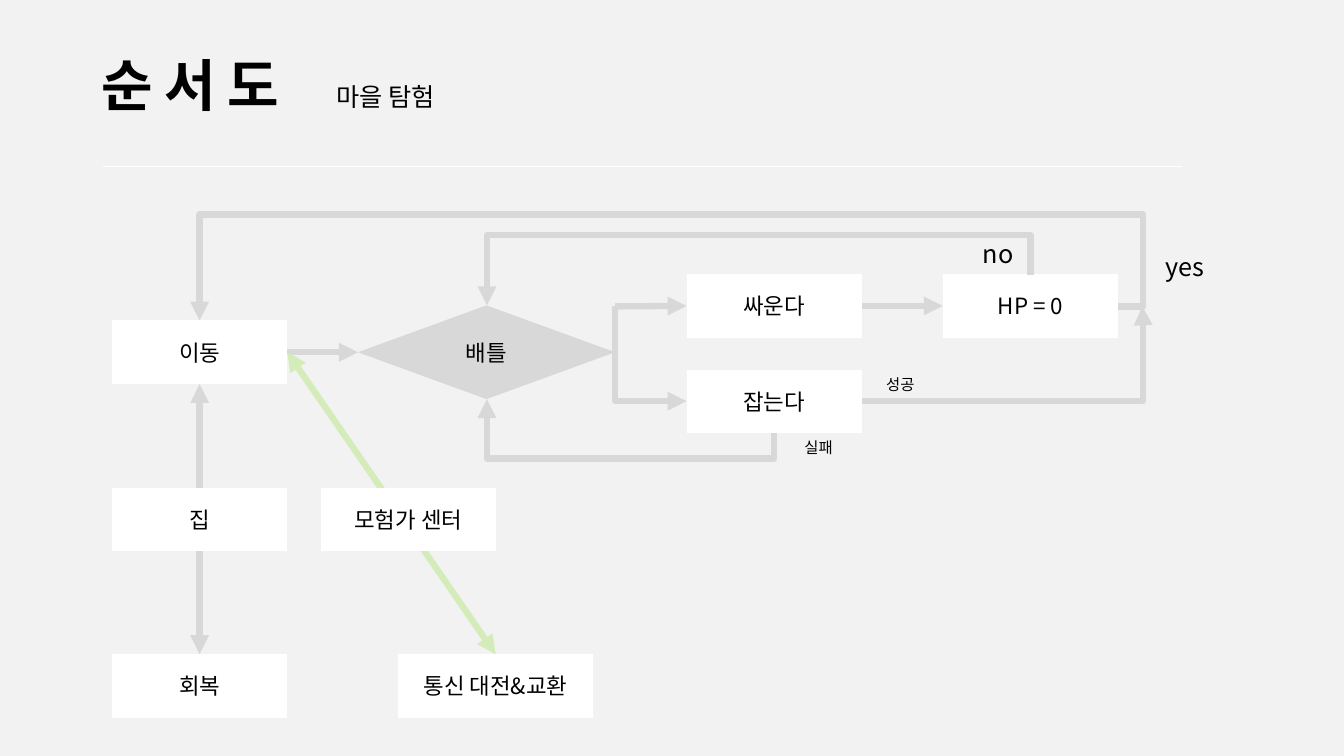
from dataclasses import dataclass
from typing import Optional

from lxml import etree
from pptx import Presentation
from pptx import util as u
from pptx.dml.color import RGBColor
from pptx.enum import shapes, text
from pptx.oxml import ns

FONT = "Noto Sans CJK KR"
BLACK, WHITE, PAPER = "000000", "FFFFFF", "F2F2F2"
GRAY, GREEN = "D8D8D8", "D3ECB9"
PROCESS = shapes.MSO_SHAPE.FLOWCHART_PROCESS
DECISION = shapes.MSO_SHAPE.FLOWCHART_DECISION
TOP, LEFT, BOTTOM, RIGHT = range(4)
Point = tuple[float, float]


@dataclass
class Box:
    label: str
    x: float
    y: float
    w: float = 1.74
    h: float = 0.63
    kind: int = PROCESS
    fill: str = WHITE


@dataclass
class Label:
    label: str
    x: float
    y: float
    w: float
    h: float
    size: float
    bold: bool = False
    spacing: int = 0


@dataclass
class Link:
    start: str
    start_side: int
    end: str
    end_side: int
    color: str = GRAY
    double: bool = False


@dataclass
class Elbow:
    start: Point
    end: Point
    preset: str
    lane_x: Optional[float] = None
    lane_y: Optional[float] = None
    vertical: bool = False  # leaves its start going up or down


# Rows and columns of the chart
COL1, COL3, COL4 = 1.11, 6.81, 9.35
MOVE_Y, FIGHT_Y, CATCH_Y, HOME_Y, HEAL_Y = 3.18, 2.72, 3.67, 4.84, 6.49
FIGHT_MID, CATCH_MID = 3.04, 3.98
MOVE_X, BATTLE_X, FORK_X, RETURN_X = 1.98, 4.83, 6.1, 11.34

BACK_BOXES = [
    Box("이동", COL1, MOVE_Y),
    Box("배틀", 3.55, 3.03, 2.55, 0.93, DECISION, GRAY),
    Box("회복", COL1, HEAL_Y),
    Box("싸운다", COL3, FIGHT_Y),
    Box("HP = 0", COL4, FIGHT_Y),
    Box("통신 대전&교환", 3.95, HEAL_Y, 1.93),
]
FRONT_BOXES = [
    Box("잡는다", COL3, CATCH_Y),
    Box("집", COL1, HOME_Y),
    Box("모험가 센터", 3.18, HOME_Y),
]
LABELS = [
    Label("순서도", 0.91, 0.45, 6.93, 0.77, 40, True, 810),
    Label("마을 탐험", 3.24, 0.76, 3.97, 0.4, 18),
    Label("성공", 8.69, 3.67, 0.81, 0.29, 11),
    Label("실패", 7.88, 4.3, 0.81, 0.29, 11),
    Label("yes", 11.46, 2.44, 0.67, 0.4, 18),
    Label("no", 9.65, 2.32, 0.67, 0.4, 18),
]
LINKS = [
    Link("이동", RIGHT, "배틀", LEFT),
    Link("싸운다", RIGHT, "HP = 0", LEFT),
    Link("이동", BOTTOM, "회복", TOP, double=True),
    Link("이동", RIGHT, "통신 대전&교환", TOP, GREEN, True),
]
ELBOWS = [
    Elbow((FORK_X, FIGHT_MID), (COL3, CATCH_MID), "bentConnector2", vertical=True),
    Elbow((11.09, FIGHT_MID), (MOVE_X, MOVE_Y), "bentConnector4", RETURN_X, 2.13),
    Elbow((8.46, CATCH_MID), (11.33, FIGHT_MID), "bentConnector3", RETURN_X),
    Elbow((7.68, 4.3), (BATTLE_X, 3.96), "bentConnector3", lane_y=4.55, vertical=True),
    Elbow((10.22, 2.73), (BATTLE_X, 3.03), "bentConnector3", lane_y=2.33, vertical=True),
]


def color(value: str) -> RGBColor:
    return RGBColor.from_string(value)


def style_run(p, size: float, bold: bool = False, spacing: int = 0) -> None:
    r = p.runs[0]
    r.font.size, r.font.bold = u.Pt(size), bold
    r.font.color.rgb = color(BLACK)
    r.font.name = FONT
    rpr = r.font._element
    etree.SubElement(rpr, ns.qn("a:ea")).set("typeface", FONT)
    if spacing:
        rpr.set("spc", str(spacing))


def add_box(s, box: Box):
    sp = s.shapes.add_shape(box.kind, *map(u.Inches, (box.x, box.y, box.w, box.h)))
    sp.shadow.inherit = False
    sp.fill.solid()
    sp.fill.fore_color.rgb = color(box.fill)
    sp.line.fill.background()
    if box.label:
        tf = sp.text_frame
        tf.text = box.label
        tf.vertical_anchor = text.MSO_ANCHOR.MIDDLE
        p = tf.paragraphs[0]
        p.alignment = text.PP_ALIGN.CENTER
        style_run(p, 16)
    return sp


def add_label(s, item: Label) -> None:
    sp = s.shapes.add_textbox(*map(u.Inches, (item.x, item.y, item.w, item.h)))
    tf = sp.text_frame
    tf.word_wrap = True
    tf.auto_size = text.MSO_AUTO_SIZE.SHAPE_TO_FIT_TEXT
    tf.text = item.label
    style_run(tf.paragraphs[0], item.size, item.bold, item.spacing)


def add_line(s, start: Point, end: Point, line: str = GRAY, width: float = 4.5,
             ends: tuple = ("tailEnd",), kind=shapes.MSO_CONNECTOR.STRAIGHT):
    c = s.shapes.add_connector(kind, *map(u.Inches, (*start, *end)))
    c.line.color.rgb = color(line)
    c.line.width = u.Pt(width)
    for tag in ends:
        etree.SubElement(c.line._ln, ns.qn(f"a:{tag}")).set("type", "triangle")
    etree.SubElement(c._element.spPr, ns.qn("a:effectLst"))
    return c


def add_elbow(s, elbow: Elbow) -> None:
    c = add_line(s, elbow.start, elbow.end, kind=shapes.MSO_CONNECTOR.ELBOW)
    (x1, y1), (x2, y2) = elbow.start, elbow.end
    # Each lane is a share of the way from start to end
    shares = [(lane - a) / (b - a)
              for lane, a, b in ((elbow.lane_x, x1, x2), (elbow.lane_y, y1, y2))
              if lane is not None]
    geom = c._element.spPr.find(ns.qn("a:prstGeom"))
    geom.set("prst", elbow.preset)
    guides = geom.find(ns.qn("a:avLst"))
    for i, share in enumerate(shares, 1):
        name = f"adj{i}" if len(shares) > 1 or elbow.preset != "bentConnector2" else "adj"
        guide = etree.SubElement(guides, ns.qn("a:gd"))
        guide.set("name", name)
        guide.set("fmla", f"val {round(share * 100000)}")
    if elbow.vertical:
        # Turn the frame a quarter about its centre
        w, h = abs(y2 - y1), abs(x2 - x1)
        c.left, c.top = u.Inches((x1 + x2 - w) / 2), u.Inches((y1 + y2 - h) / 2)
        c.width, c.height = u.Inches(w), u.Inches(h)
        down = y2 > y1
        xfrm = c._element.spPr.find(ns.qn("a:xfrm"))
        xfrm.set("rot", str((270 if down else 90) * 60000))
        xfrm.set("flipH", "1")
        xfrm.set("flipV", "1" if (x2 < x1) == down else "0")


def main() -> None:
    prs = Presentation()
    prs.slide_width, prs.slide_height = u.Inches(13.33), u.Inches(7.5)
    s = prs.slides.add_slide(prs.slide_layouts[6])

    # Backdrop and header rule
    add_box(s, Box("", 0, 0, 13.33, 7.5, shapes.MSO_SHAPE.RECTANGLE, PAPER))
    add_line(s, (1.02, 1.65), (11.72, 1.65), WHITE, 1, ())

    # Boxes under the arrows
    nodes = {box.label: add_box(s, box) for box in BACK_BOXES}

    # Arrows
    for link in LINKS:
        ends = ("headEnd", "tailEnd") if link.double else ("tailEnd",)
        c = add_line(s, (0, 0), (1, 1), link.color, ends=ends)
        c.begin_connect(nodes[link.start], link.start_side)
        c.end_connect(nodes[link.end], link.end_side)
    fork = add_line(s, (FORK_X, FIGHT_MID), (COL3, FIGHT_MID))
    fork.end_connect(nodes["싸운다"], LEFT)
    for elbow in ELBOWS:
        add_elbow(s, elbow)

    # Boxes over the arrows, then text
    for box in FRONT_BOXES:
        add_box(s, box)
    for item in LABELS:
        add_label(s, item)
    prs.save("out.pptx")


if __name__ == "__main__":
    main()
